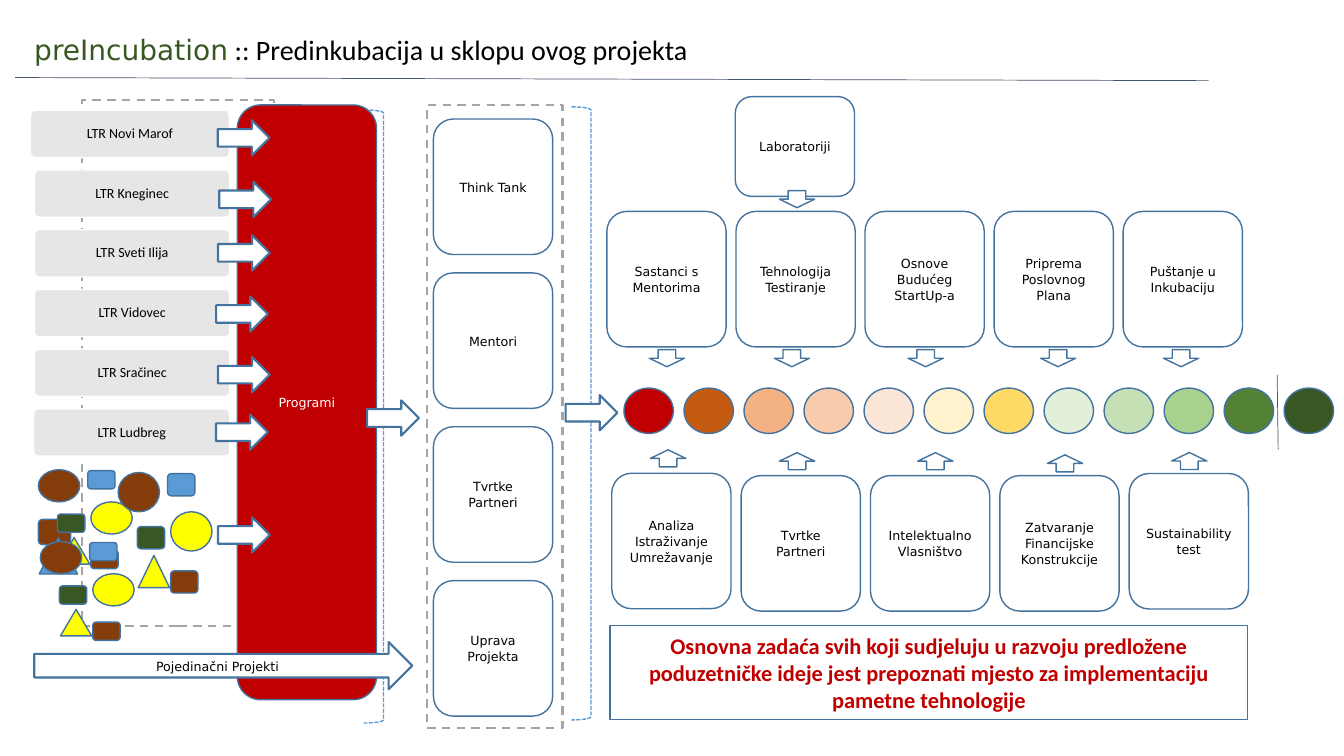
from dataclasses import dataclass
from typing import Optional

from lxml import etree
from pptx import Presentation
from pptx import util as u
from pptx.dml.color import RGBColor
from pptx.enum import dml, shapes, text

Pt = u.Pt
Kind = shapes.MSO_SHAPE
Dash = dml.MSO_LINE

WHITE, BLACK = RGBColor(0xFF, 0xFF, 0xFF), RGBColor(0, 0, 0)
RED, YELLOW = RGBColor(0xC0, 0, 0), RGBColor(0xFF, 0xFF, 0)
BROWN, GREEN = RGBColor(0x84, 0x3C, 0x0B), RGBColor(0x38, 0x57, 0x23)
BLUE, OUTLINE = RGBColor(0x5B, 0x9B, 0xD5), RGBColor(0x43, 0x73, 0x9E)
GREY, PALE = RGBColor(0xA5, 0xA5, 0xA5), RGBColor(0xE7, 0xE6, 0xE6)
SLATE = RGBColor(0x44, 0x54, 0x6A)
PHASES = [RED] + [RGBColor.from_string(tone) for tone in (
    "C55A11", "F4B183", "F8CBAD", "FBE5D6", "FFF2CC",
    "FFD966", "E2F0D9", "C5E0B4", "A9D18E", "548235")] + [GREEN]


@dataclass
class Label:
    words: str
    size: float = 9
    font: str = "DejaVu Sans"
    color: RGBColor = BLACK
    bold: bool = False
    spacing: float = 1.06
    inset: float = 7.2


@dataclass
class Part:
    kind: Kind
    left: float
    top: float
    width: float
    height: float
    fill: Optional[RGBColor] = WHITE
    line: RGBColor = OUTLINE
    weight: float = 1
    dash: Optional[Dash] = None
    label: Optional[Label] = None
    turn: float = 0
    corner: Optional[float] = None


@dataclass
class Municipality:
    name: str
    left: float
    width: float
    arrow_left: float
    arrow_top: float


@dataclass
class Stage:
    activity: str
    arrow_left: float
    support: str
    support_top: float
    support_arrow_left: float
    support_arrow_top: float


MUNICIPALITIES = [
    Municipality("LTR Novi Marof", 21.8, 142, 155.5, 85.9),
    Municipality("LTR Kneginec", 24.6, 139.6, 156.6, 129.8),
    Municipality("LTR Sveti Ilija", 24.6, 139.6, 155.7, 168),
    Municipality("LTR Vidovec", 24.6, 139.6, 154.4, 211.7),
    Municipality("LTR Sračinec", 24.6, 139.6, 155.7, 255),
    Municipality("LTR Ludbreg", 24, 140.2, 154.3, 296.1),
]
STAGES = [
    Stage("Sastanci s Mentorima", 463.8, "Analiza Istraživanje Umrežavanje", 338, 464.6, 321.3),
    Stage("Tehnologija\nTestiranje", 553, "Tvrtke Partneri", 339.7, 556.7, 323.3),
    Stage("Osnove Budućeg StartUp-a", 648.6, "Intelektualno Vlasništvo", 339.7, 655.5, 323.3),
    Stage("Priprema Poslovnog Plana", 743.2, "Zatvaranje Financijske Konstrukcije",
          339.7, 748.1, 324.9),
    Stage("Puštanje u Inkubaciju", 831, "Sustainability test", 338.2, 836.9, 323.2),
]
# One bunch of loose projects, relative to its corner
BUNCH = [
    Part(Kind.OVAL, 37.5, 23, 29.5, 23, YELLOW),
    Part(Kind.OVAL, 0, 0, 29.5, 23, BROWN),
    Part(Kind.ROUNDED_RECTANGLE, 37.5, 57.6, 19.5, 13, BROWN),
    Part(Kind.ROUNDED_RECTANGLE, 35.3, 0.7, 19.5, 13, BLUE),
    Part(Kind.ROUNDED_RECTANGLE, 13.7, 31.7, 19.5, 13, GREEN),
    Part(Kind.ISOSCELES_TRIANGLE, 14.4, 48.5, 22.3, 18.9, YELLOW),
]

deck = Presentation()
deck.slide_width, deck.slide_height = Pt(960), Pt(540)
slide = deck.slides.add_slide(deck.slide_layouts[6])


def write(frame: text.MSO_ANCHOR, label: Label) -> None:
    frame.word_wrap = True
    frame.vertical_anchor = text.MSO_ANCHOR.MIDDLE
    frame.margin_left = frame.margin_right = Pt(label.inset)
    frame.margin_top = frame.margin_bottom = Pt(min(label.inset, 7.2))
    frame.text = label.words
    for line in frame.paragraphs:
        line.alignment = text.PP_ALIGN.CENTER
        line.line_spacing = label.spacing
        line.font.size, line.font.name = Pt(label.size), label.font
        line.font.bold, line.font.color.rgb = label.bold, label.color


def draw(part: Part, home=slide.shapes) -> None:
    drawn = home.add_shape(part.kind, Pt(part.left), Pt(part.top), Pt(part.width), Pt(part.height))
    drawn.shadow.inherit = False
    drawn.rotation = part.turn
    if part.corner is not None:
        drawn.adjustments[0] = part.corner
    if part.fill is None:
        drawn.fill.background()
    else:
        drawn.fill.solid()
        drawn.fill.fore_color.rgb = part.fill
    drawn.line.color.rgb, drawn.line.width = part.line, Pt(part.weight)
    if part.dash is not None:
        drawn.line.dash_style = part.dash
    if part.label:
        write(drawn.text_frame, part.label)


def rule(x1: float, y1: float, x2: float, y2: float) -> None:
    stroke = slide.shapes.add_connector(shapes.MSO_CONNECTOR.STRAIGHT, Pt(x1), Pt(y1), Pt(x2), Pt(y2))
    stroke.line.color.rgb, stroke.line.width = SLATE, Pt(0.5)
    properties = stroke.line._get_or_add_ln().getparent()
    etree.SubElement(properties, "{http://schemas.openxmlformats.org/drawingml/2006/main}effectLst")


def card(words: str, left: float, top: float, height: float = 96.8) -> None:
    draw(Part(Kind.ROUNDED_RECTANGLE, left, top, 85.2, height, label=Label(words)))


def brace(left: float, top: float) -> None:
    draw(Part(Kind.RIGHT_BRACE, left, top, 28, 438, line=BLUE, dash=Dash.SQUARE_DOT))


def frame_box(left: float, top: float, width: float, height: float) -> None:
    draw(Part(Kind.RECTANGLE, left, top, width, height, None, GREY, 1.5, Dash.DASH))


def flow_arrow(left: float, top: float) -> None:
    draw(Part(Kind.RIGHT_ARROW, left, top, 37, 25.2, weight=1.5))


def small_arrow(left: float, top: float, turn: float = 0) -> None:
    draw(Part(Kind.DOWN_ARROW, left, top, 25.2, 12.2, turn=turn))


def bunch(left: float, top: float, stretch: float = 1) -> None:
    group = slide.shapes.add_group_shape()
    for item in BUNCH:
        draw(Part(item.kind, left + item.left, top + item.top * stretch,
                  item.width, item.height * stretch, item.fill), group.shapes)


# Title
brace(260, 78.5)
title = slide.shapes.add_textbox(Pt(24.5), Pt(23), Pt(886), Pt(26.6)).text_frame
title.word_wrap = True
title.margin_left = title.margin_right = title.margin_top = title.margin_bottom = 0
for words, font, color in (("preIncubation", "DejaVu Sans", GREEN),
                           (" :: Predinkubacija u sklopu ovog projekta", "Calibri", BLACK)):
    run = title.paragraphs[0].add_run()
    run.text = words
    run.font.size, run.font.name, run.font.color.rgb = Pt(20), font, color
rule(10.8, 55.4, 863.3, 57.6)

# Municipalities and programmes
frame_box(58.3, 71.5, 137.5, 375.8)
for row, place in enumerate(MUNICIPALITIES):
    draw(Part(Kind.ROUNDED_RECTANGLE, place.left, 78.8 + 42.65 * row, place.width, 33.8, PALE, WHITE,
              label=Label(place.name, 10, "Calibri", spacing=0.9, inset=2), corner=0.1))
draw(Part(Kind.ROUNDED_RECTANGLE, 169.5, 75, 99.4, 424.8, RED, label=Label("Programi", color=WHITE)))

# Loose projects
draw(Part(Kind.ROUNDED_RECTANGLE, 27.4, 371, 23, 18, BROWN))
bunch(27.4, 335.5)
draw(Part(Kind.ISOSCELES_TRIANGLE, 28, 384, 27.4, 26, BLUE))

# Supporters
frame_box(304.8, 75, 97, 445)
draw(Part(Kind.RIGHT_ARROW, 24.5, 458.6, 270, 33.8, weight=1.5, label=Label("Pojedinačni Projekti")))
for row, supporter in enumerate(("Think Tank", "Mentori", "Tvrtke\nPartneri", "Uprava\nProjekta")):
    card(supporter, 309.6, 85 + 109.9 * row)
brace(408.2, 76.3)

# Phases, with activities above and support below
for step, tone in enumerate(PHASES):
    draw(Part(Kind.OVAL, 445.7 + 42.87 * step, 277.2, 35.3, 32.4, tone))
card("Laboratoriji", 525.2, 69, 71.3)
for step, stage in enumerate(STAGES):
    card(stage.activity, 433.5 + 92.2 * step, 151)
    card(stage.support, 437 + 92.4 * step, stage.support_top)
    small_arrow(stage.arrow_left, 249.8)
    small_arrow(stage.support_arrow_left, stage.support_arrow_top, 180)
small_arrow(556.7, 136.2)
rule(912.3, 267.8, 913, 321)
flow_arrow(404, 282.2)
flow_arrow(262.2, 286)

# Main message
draw(Part(Kind.RECTANGLE, 435.8, 447, 455.5, 67, None, label=Label(
    "Osnovna zadaća svih koji sudjeluju u razvoju predložene poduzetničke ideje jest prepoznati "
    "mjesto za implementaciju pametne tehnologije", 16, "Calibri", RED, True, 1)))

# Arrows into the programmes
bunch(84.4, 337.5, 1.22)
for place in MUNICIPALITIES:
    flow_arrow(place.arrow_left, place.arrow_top)
bunch(28.8, 386.8)
flow_arrow(155.7, 369.5)

deck.save("out.pptx")
